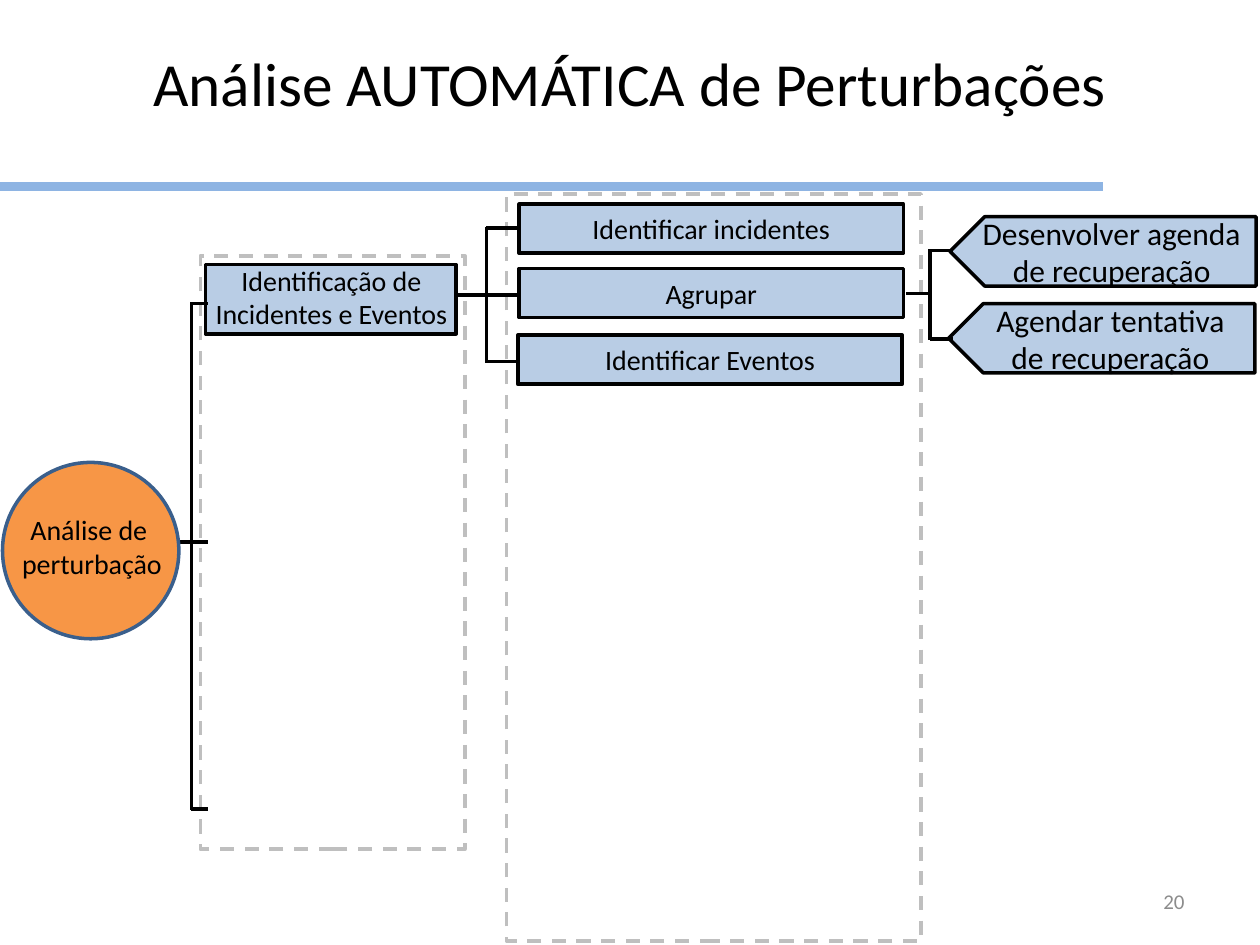
"""Build the slide with the decomposition tree of automatic disturbance analysis."""
from lxml.etree import SubElement
from pptx import Presentation
from pptx.dml.color import RGBColor
from pptx.enum.dml import MSO_LINE
from pptx.enum.shapes import MSO_CONNECTOR, MSO_SHAPE as Preset
from pptx.enum.text import MSO_ANCHOR as Anchor, PP_ALIGN as Align
from pptx.oxml.ns import qn
from pptx.util import Inches, Pt

BLACK = RGBColor(0x00, 0x00, 0x00)
GREY = RGBColor(0x8C, 0x8C, 0x8C)
FRAME_GREY = RGBColor(0xBF, 0xBF, 0xBF)
RULE_BLUE = RGBColor(0x8E, 0xB4, 0xE3)
BOX_BLUE = RGBColor(0xB9, 0xCD, 0xE5)
ORANGE = RGBColor(0xF7, 0x96, 0x46)
ROOT_EDGE = RGBColor(0x3A, 0x5F, 0x8C)

TITLE = ("Análise AUTOMÁTICA de Perturbações", (0, 0.31, 10, 0.69))
PAGE_NUMBER = ("20", (7.17, 6.95, 2.33, 0.4))
ROOT = ("Análise de\n perturbação", (-0.05, 4, 1.51, 0.67))
ROOT_CIRCLE = (0.02, 3.67, 1.4, 1.4)
STAGE = ("Identificação de Incidentes e Eventos", (1.59, 2.02, 2.08, 0.67))
STAGE_BOX = (1.63, 2.1, 1.99, 0.55)
FRAMES = [(4.02, 1.54, 3.29, 5.93), (1.59, 2.03, 2.1, 4.71)]

STEP_SIZE = (3.05, 0.39)
STEPS = [
    ("Identificar incidentes", 4.12, 1.62),
    ("Agrupar", 4.12, 2.13),
    ("Identificar Eventos", 4.11, 2.66),
]
ACTION_SIZE = (2.43, 0.55)
ACTIONS = [
    ("Desenvolver agenda de recuperação", 7.54, 1.72),
    ("Agendar tentativa de recuperação", 7.53, 2.41),
]
BRACKETS = [
    {"stem": (1.41, 4.3), "trunk": 1.52, "tips": 1.65, "branches": [2.41, 4.3, 6.42]},
    {"stem": (3.63, 2.34), "trunk": 3.86, "tips": 4.12, "branches": [1.81, 2.34, 2.87]},
    {"stem": (7.19, 2.33), "trunk": 7.38, "tips": 7.56, "branches": [1.99, 2.69]},
]
OVERLAP = 0.01


def write(shape, text, size=16, color=BLACK, align=Align.CENTER, anchor=Anchor.MIDDLE):
    frame = shape.text_frame
    frame.word_wrap = True
    frame.vertical_anchor = anchor
    frame.text = text
    for paragraph in frame.paragraphs:
        paragraph.alignment = align
        font = paragraph.font
        font.name, font.size, font.color.rgb = "Calibri", Pt(size), color
        for run in paragraph.runs:
            run.font.name, run.font.size, run.font.color.rgb = "Calibri", Pt(size), color


def add_label(slide, text, place, **style):
    write(slide.shapes.add_textbox(*map(Inches, place)), text, **style)


def add_outline(slide, preset, place, fill=None, edge=BLACK, dash=None):
    shape = slide.shapes.add_shape(preset, *map(Inches, place))
    shape.shadow.inherit = False
    if fill is None:
        shape.fill.background()
    else:
        shape.fill.solid()
        shape.fill.fore_color.rgb = fill
    shape.line.color.rgb = edge
    shape.line.width = Pt(2)
    if dash:
        shape.line.dash_style = dash
    return shape


def add_line(slide, start, end, color=BLACK, width=2):
    line = slide.shapes.add_connector(
        MSO_CONNECTOR.STRAIGHT, *map(Inches, (*start, *end)))
    line.line.color.rgb = color
    line.line.width = Pt(width)
    SubElement(line.element.spPr, qn("a:effectLst"))


def add_bracket(slide, stem, trunk, tips, branches):
    add_line(slide, stem, (trunk, stem[1]))
    add_line(slide, (trunk, branches[0] - OVERLAP), (trunk, branches[-1] + OVERLAP))
    for y in branches:
        add_line(slide, (trunk, y), (tips, y))


def main():
    deck = Presentation()
    deck.slide_width, deck.slide_height = Inches(10), Inches(7.5)
    slide = deck.slides.add_slide(deck.slide_layouts[6])

    add_line(slide, (0, 1.48), (8.75, 1.48), RULE_BLUE, 5)
    add_label(slide, *PAGE_NUMBER, size=12, color=GREY, align=Align.RIGHT)

    add_outline(slide, Preset.RECTANGLE, STAGE_BOX, BOX_BLUE)
    add_label(slide, *STAGE)
    for text, left, top in STEPS:
        write(add_outline(slide, Preset.RECTANGLE, (left, top, *STEP_SIZE), BOX_BLUE), text)
    for text, left, top in ACTIONS:
        action = add_outline(slide, Preset.PENTAGON, (left, top, *ACTION_SIZE), BOX_BLUE)
        action.element.spPr.find(qn("a:xfrm")).set("flipH", "1")
        write(action, text, size=18)
    for place in FRAMES:
        add_outline(slide, Preset.RECTANGLE, place, edge=FRAME_GREY, dash=MSO_LINE.DASH)

    for bracket in BRACKETS:
        add_bracket(slide, **bracket)
    add_outline(slide, Preset.OVAL, ROOT_CIRCLE, ORANGE, ROOT_EDGE)
    add_label(slide, *ROOT)
    add_label(slide, *TITLE, size=35, anchor=Anchor.TOP)
    deck.save("out.pptx")


if __name__ == "__main__":
    main()
